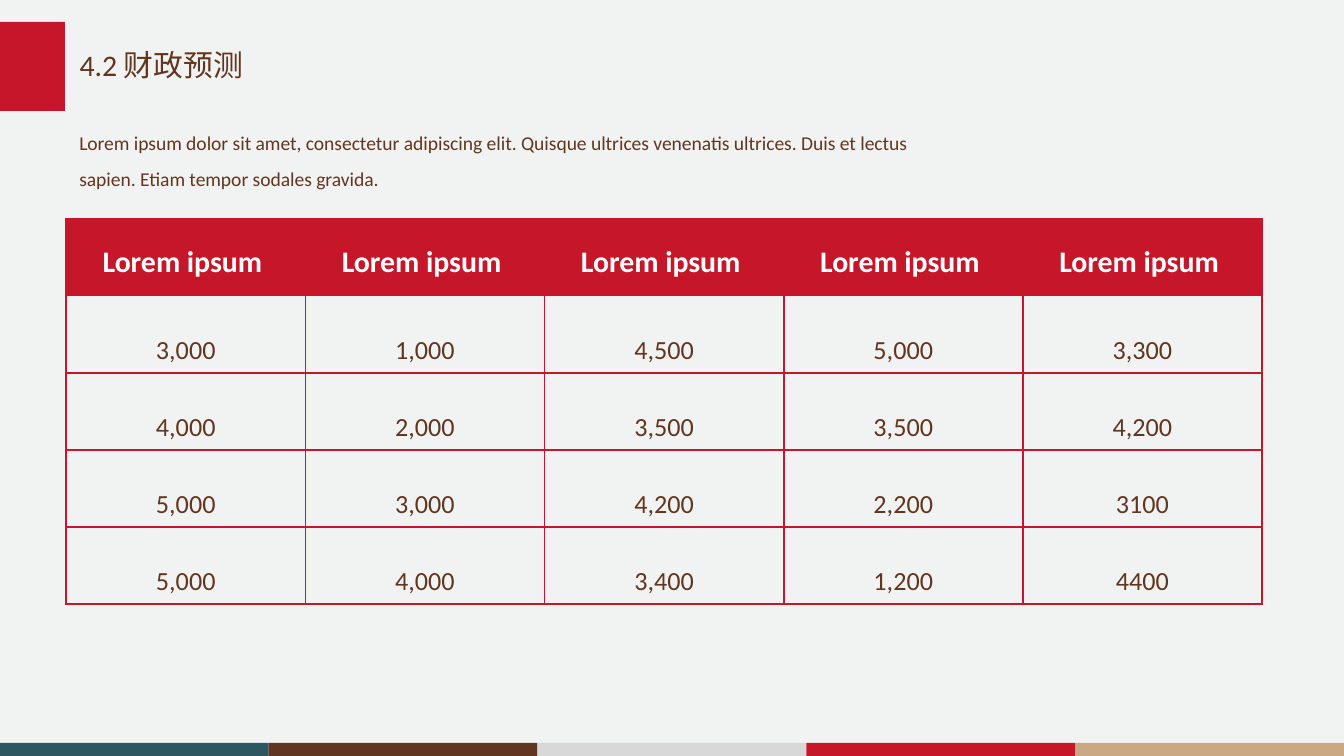
from dataclasses import dataclass

from lxml import etree
from pptx import Presentation
from pptx.dml.color import RGBColor
from pptx.enum.shapes import MSO_SHAPE
from pptx.enum.text import MSO_ANCHOR, MSO_AUTO_SIZE, PP_ALIGN
from pptx.oxml.ns import qn
from pptx.util import Pt

RECTANGLE = MSO_SHAPE.RECTANGLE
LEFT, CENTER = PP_ALIGN.LEFT, PP_ALIGN.CENTER
MIDDLE = MSO_ANCHOR.MIDDLE
NO_AUTOFIT = MSO_AUTO_SIZE.NONE
TITLE_ONLY_LAYOUT = 5

PAGE_WIDTH, PAGE_HEIGHT = 720, 405
RED, BROWN, WHITE, PALE = "C51729", "613620", "FFFFFF", "F1F3F2"
STRIPE_COLORS = ["2E5660", BROWN, "D8D8D8", RED, "CAA884"]
STRIPE_HEIGHT = 7

TITLE = "4.2 财政预测"
INTRO = (
    "Lorem ipsum dolor sit amet, consectetur adipiscing elit. Quisque ultrices "
    "venenatis ultrices. Duis et lectus sapien. Etiam tempor sodales gravida."
)
HEADERS = ["Lorem ipsum "] * 5
FORECAST = [
    ["3,000", "1,000", "4,500", "5,000", "3,300"],
    ["4,000", "2,000", "3,500", "3,500", "4,200"],
    ["5,000", "3,000", "4,200", "2,200", "3100"],
    ["5,000", "4,000", "3,400", "1,200", "4400"],
]
COLUMN_WIDTH, ROW_HEIGHT = 128.15, 41.2


@dataclass(frozen=True)
class Area:
    left: float
    top: float
    width: float
    height: float

    def lengths(self) -> tuple:
        return Pt(self.left), Pt(self.top), Pt(self.width), Pt(self.height)


@dataclass(frozen=True)
class TextStyle:
    size: float
    color: str
    spacing: float
    align: PP_ALIGN = LEFT
    bold: bool = False


TITLE_STYLE = TextStyle(16, BROWN, 0.9)
INTRO_STYLE = TextStyle(10.5, BROWN, 1.5)
HEADER_STYLE = TextStyle(16, WHITE, 1.5, CENTER, True)
VALUE_STYLE = TextStyle(14, BROWN, 2.0, CENTER)


def set_fill(fill, color: str) -> None:
    fill.solid()
    fill.fore_color.rgb = RGBColor.from_string(color)


def write(frame, text: str, style: TextStyle) -> None:
    para = frame.paragraphs[0]
    para.alignment = style.align
    para.line_spacing = style.spacing
    span = para.add_run()
    span.text = text
    span.font.name = "Calibri"
    span.font.size = Pt(style.size)
    span.font.bold = style.bold
    set_fill(span.font.fill, style.color)


def add_block(page, area: Area, color: str) -> None:
    block = page.shapes.add_shape(RECTANGLE, *area.lengths())
    block.shadow.inherit = False
    set_fill(block.fill, color)
    block.line.fill.background()


def add_borders(cell, color: str) -> None:
    properties = cell._tc.get_or_add_tcPr()
    for index, side in enumerate(("a:lnL", "a:lnR", "a:lnT", "a:lnB")):
        line = etree.Element(qn(side), w=str(Pt(1)))
        fill = etree.SubElement(line, qn("a:solidFill"))
        etree.SubElement(fill, qn("a:srgbClr"), val=color)
        properties.insert(index, line)


def add_forecast_table(page) -> None:
    rows = [HEADERS] + FORECAST
    area = Area(35.5, 117.2, COLUMN_WIDTH * len(HEADERS), ROW_HEIGHT * len(rows))
    table = page.shapes.add_table(len(rows), len(HEADERS), *area.lengths()).table
    table.first_row = table.horz_banding = False
    for row_index, values in enumerate(rows):
        is_header = row_index == 0
        for column_index, value in enumerate(values):
            cell = table.cell(row_index, column_index)
            write(cell.text_frame, value, HEADER_STYLE if is_header else VALUE_STYLE)
            if is_header:
                set_fill(cell.fill, RED)
            else:
                cell.fill.background()
            add_borders(cell, RED)


def add_title(page) -> None:
    title = page.shapes.title
    title.left, title.top, title.width, title.height = Area(35.4, 21.6, 216.7, 28).lengths()
    title.text_frame.auto_size = NO_AUTOFIT
    title.text_frame.vertical_anchor = MIDDLE
    write(title.text_frame, TITLE, TITLE_STYLE)


def add_intro(page) -> None:
    box = page.shapes.add_textbox(*Area(35.4, 60.5, 471, 45.4).lengths())
    box.text_frame.word_wrap = True
    write(box.text_frame, INTRO, INTRO_STYLE)


def main() -> None:
    deck = Presentation()
    deck.slide_width, deck.slide_height = Pt(PAGE_WIDTH), Pt(PAGE_HEIGHT)
    page = deck.slides.add_slide(deck.slide_layouts[TITLE_ONLY_LAYOUT])
    set_fill(page.background.fill, PALE)

    stripe_width = PAGE_WIDTH / len(STRIPE_COLORS)
    for index, color in enumerate(STRIPE_COLORS):
        stripe = Area(index * stripe_width, PAGE_HEIGHT - STRIPE_HEIGHT, stripe_width, STRIPE_HEIGHT)
        add_block(page, stripe, color)
    add_block(page, Area(0, 11.7, 34.8, 47.8), RED)

    add_title(page)
    add_forecast_table(page)
    add_intro(page)
    deck.save("out.pptx")


if __name__ == "__main__":
    main()
